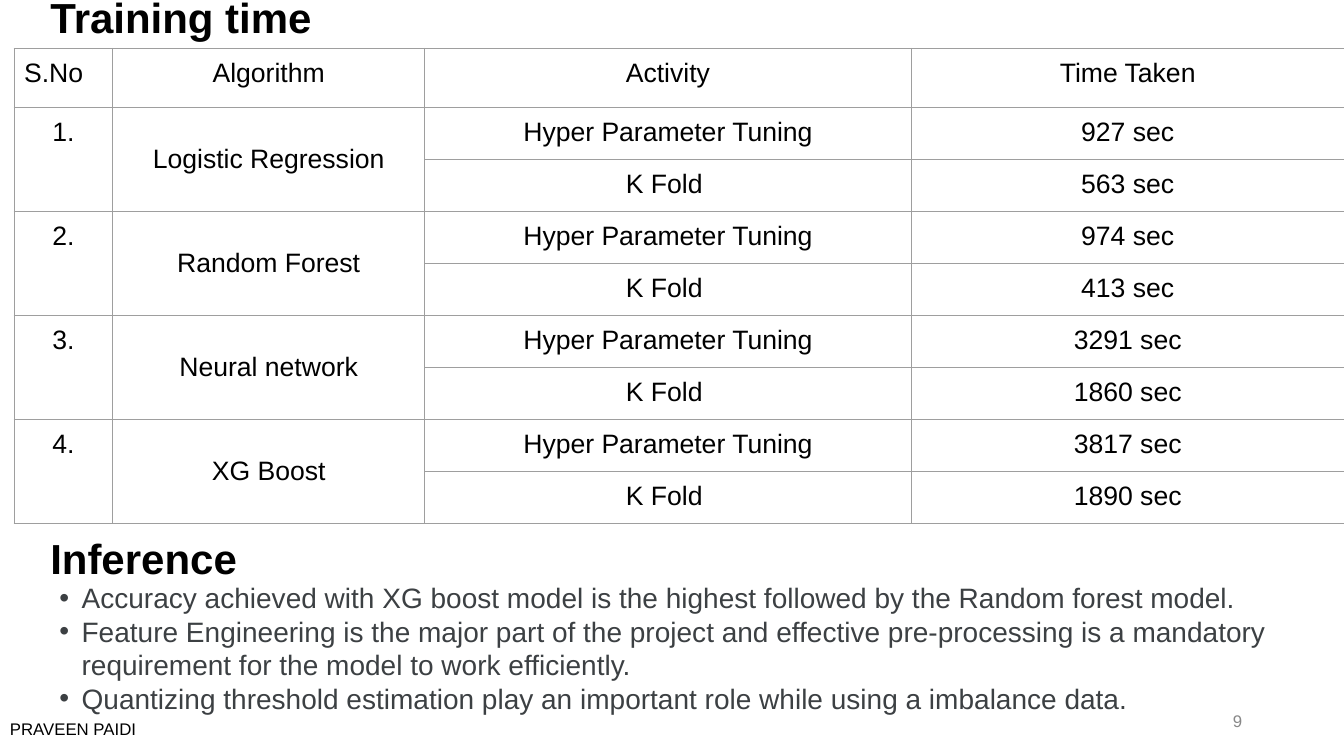
from lxml.etree import SubElement
from pptx import Presentation
from pptx.dml.color import RGBColor
from pptx.enum.text import MSO_ANCHOR as Anchor, MSO_AUTO_SIZE as AutoSize, PP_ALIGN as Align
from pptx.oxml.ns import qn
from pptx.util import Inches, Pt

COLORS = {"black": "000000", "body": "3C4043", "number": "888888", "border": "9E9E9E"}
INSET = 0.1


def write_text(frame, lines, size, color, bold=False, align=Align.LEFT,
               anchor=Anchor.TOP, spacing=1.0, inset_y=0.05):
    """Fill a text frame with one paragraph per line, all in one format."""
    frame.text = "\n".join(lines)
    frame_format = {
        "word_wrap": True, "auto_size": AutoSize.NONE, "vertical_anchor": anchor,
        "margin_left": Inches(INSET), "margin_right": Inches(INSET),
        "margin_top": Inches(inset_y), "margin_bottom": Inches(inset_y),
    }
    for name, value in frame_format.items():
        setattr(frame, name, value)
    for paragraph in frame.paragraphs:
        paragraph_format = {"alignment": align, "line_spacing": spacing,
                            "space_before": Pt(0), "space_after": Pt(0)}
        for name, value in paragraph_format.items():
            setattr(paragraph, name, value)
        for run in paragraph.runs:
            font_format = {"name": "Arial", "size": Pt(size), "bold": bold}
            for name, value in font_format.items():
                setattr(run.font, name, value)
            run.font.color.rgb = RGBColor.from_string(COLORS[color])


def place(shape, left, top, width, height):
    box = {"left": left, "top": top, "width": width, "height": height}
    for name, value in box.items():
        setattr(shape, name, Inches(value))
    return shape


presentation = Presentation()
presentation.slide_width = Inches(13.33)
presentation.slide_height = Inches(7.5)
slide = presentation.slides.add_slide(presentation.slide_layouts[1])
for placeholder in list(slide.placeholders):
    if placeholder.placeholder_format.idx > 1:
        placeholder.element.getparent().remove(placeholder.element)

# Headings
heading = {"size": 30, "color": "black", "bold": True, "spacing": 0.9}
title = place(slide.shapes.title, 0.4, -0.08, 3.28, 0.56)
write_text(title.text_frame, ["Training time"], **heading)
inference = place(slide.shapes.add_textbox(0, 0, 0, 0), 0.4, 5.24, 3.28, 0.66)
write_text(inference.text_frame, ["Inference"], inset_y=0.1, **heading)

# Slide number and author
number = place(slide.shapes.add_textbox(0, 0, 0, 0), 9.42, 6.95, 3, 0.4)
write_text(number.text_frame, ["9"], 12, "number", align=Align.RIGHT, anchor=Anchor.MIDDLE)
author = place(slide.shapes.add_textbox(0, 0, 0, 0), 0, 7.03, 3, 0.4)
write_text(author.text_frame, ["PRAVEEN PAIDI"], 12, "black", anchor=Anchor.MIDDLE)

# Training times: two activities for each algorithm
HEADERS = ["S.No", "Algorithm", "Activity", "Time Taken"]
ACTIVITIES = ["Hyper Parameter Tuning", "K Fold "]
SECONDS = {
    "Logistic Regression": (927, 563),
    "Random Forest": (974, 413),
    "Neural network": (3291, 1860),
    "XG Boost": (3817, 1890),
}
COLUMN_WIDTHS = [0.98, 3.09, 4.83, 4.29]
TABLE_TOP, TABLE_BOTTOM, HEADER_HEIGHT = 0.48, 5.19, 0.59

rows = [HEADERS]
for position, (algorithm, times) in enumerate(SECONDS.items(), start=1):
    for activity, seconds in zip(ACTIVITIES, times):
        first = activity == ACTIVITIES[0]
        rows.append([f"{position}." if first else "", algorithm if first else "",
                     activity, f"{seconds} sec"])

frame = slide.shapes.add_table(
    len(rows), len(HEADERS), Inches(0.14), Inches(TABLE_TOP),
    Inches(sum(COLUMN_WIDTHS)), Inches(TABLE_BOTTOM - TABLE_TOP))
table = frame.table
table.first_row = table.horz_banding = False
for column, width in zip(table.columns, COLUMN_WIDTHS):
    column.width = Inches(width)
body_height = (TABLE_BOTTOM - TABLE_TOP - HEADER_HEIGHT) / (len(rows) - 1)
for index, row in enumerate(table.rows):
    row.height = Inches(body_height if index else HEADER_HEIGHT)

for row_index, row in enumerate(rows):
    for column_index, text in enumerate(row):
        cell = table.cell(row_index, column_index)
        corner = row_index == column_index == 0
        write_text(cell.text_frame, [text], 19, "black",
                   align=Align.LEFT if corner else Align.CENTER)
        for side in ("left", "right", "top", "bottom"):
            setattr(cell, f"margin_{side}", Inches(INSET))
        merged_name = row_index > 0 and column_index == 1
        cell.vertical_anchor = Anchor.MIDDLE if merged_name else Anchor.TOP
        properties = cell._tc.get_or_add_tcPr()
        for edge in ("a:lnL", "a:lnR", "a:lnT", "a:lnB"):
            line = SubElement(properties, qn(edge), w=str(Pt(0.75)))
            fill = SubElement(line, qn("a:solidFill"))
            SubElement(fill, qn("a:srgbClr"), val=COLORS["border"])
        cell.fill.background()

for row_index in range(1, len(rows), len(ACTIVITIES)):
    for column_index in (0, 1):
        last = table.cell(row_index + len(ACTIVITIES) - 1, column_index)
        table.cell(row_index, column_index).merge(last)

# Conclusions
CONCLUSIONS = [
    "Accuracy achieved with XG boost model is the highest followed by the Random forest model.",
    "Feature Engineering is the major part of the project and effective pre-processing "
    "is a mandatory requirement for the model to work efficiently.",
    "Quantizing threshold estimation play an important role while using a imbalance data.",
]
body = place(slide.placeholders[1], 0.46, 5.71, 12.87, 1.49)
write_text(body.text_frame, CONCLUSIONS, 20, "body")
for paragraph in body.text_frame.paragraphs:
    properties = paragraph._p.get_or_add_pPr()
    properties.set("marL", str(Inches(0.25)))
    properties.set("indent", str(Inches(-0.22)))
    bullet_color = SubElement(properties, qn("a:buClr"))
    SubElement(bullet_color, qn("a:srgbClr"), val=COLORS["body"])
    SubElement(properties, qn("a:buFont"), typeface="Arial")
    SubElement(properties, qn("a:buChar"), char="•")

presentation.save("out.pptx")
